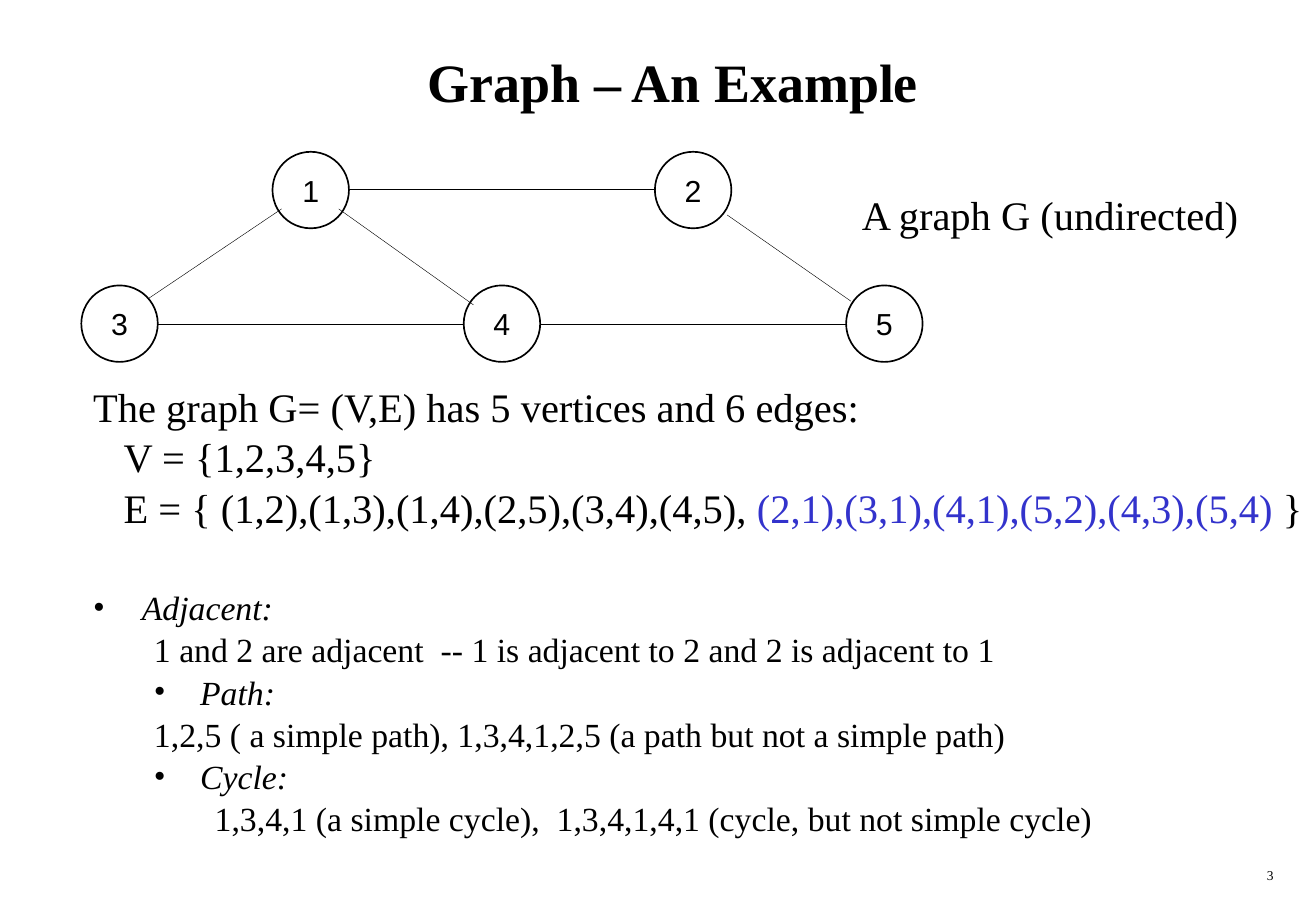
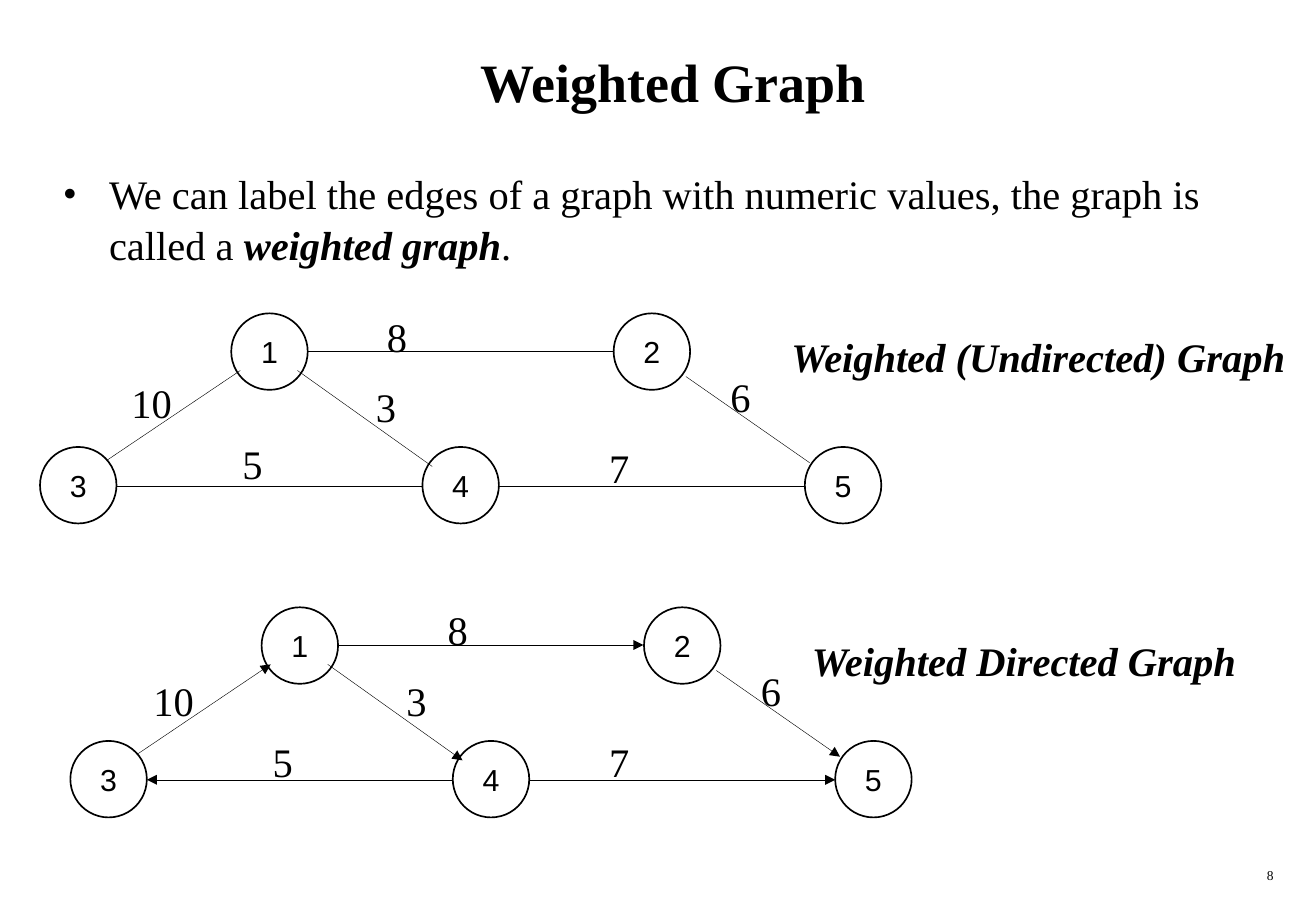
from dataclasses import dataclass
from typing import NamedTuple

from lxml.etree import SubElement
from pptx import Presentation
from pptx.dml.color import RGBColor
from pptx.enum.shapes import MSO_CONNECTOR as Link, MSO_SHAPE as Form
from pptx.enum.text import MSO_ANCHOR as Anchor, PP_ALIGN as Align
from pptx.oxml.ns import qn
from pptx.util import Inches, Pt


@dataclass(frozen=True)
class Theme:
    ink: RGBColor = RGBColor(0x00, 0x00, 0x00)
    blue: RGBColor = RGBColor(0x33, 0x33, 0xCC)
    paper: RGBColor = RGBColor(0xFF, 0xFF, 0xFF)
    serif: str = "Times New Roman"
    sans: str = "Arial"
    title: int = 32
    body: int = 24
    small: int = 20
    node: int = 18
    foot: int = 8
    rim: float = 1
    edge: float = 0.25
    lead: float = 1.04


class Box(NamedTuple):
    x: float
    y: float
    w: float
    h: float


class Run(NamedTuple):
    text: str
    bold: bool = False
    slant: bool = False
    blue: bool = False


class Para(NamedTuple):
    runs: list[Run]
    size: int
    left: float = 0
    hang: float = 0
    before: float = 0
    tab: float = 0


class Node(NamedTuple):
    name: str
    col: int
    row: int


class Edge(NamedTuple):
    x1: float
    y1: float
    x2: float
    y2: float


class Mark(NamedTuple):
    text: str
    x: float
    y: float


class Graph(NamedTuple):
    x: float
    y: float
    arrows: bool
    marks: list[Mark]
    label: Run
    spot: Box


THEME = Theme()
SIZE = 0.63
STEP = 1.575
DROP = 1.1
NODES = [Node("1", 1, 0), Node("4", 2, 1), Node("2", 3, 0),
         Node("5", 4, 1), Node("3", 0, 1)]
EDGES = [
    Edge(2.12, 0.47, 3.23, 1.26),
    Edge(2.2, 0.31, 4.72, 0.31),
    Edge(5.32, 0.52, 6.34, 1.23),
    Edge(3.15, 1.42, 0.63, 1.42),
    Edge(3.78, 1.42, 6.3, 1.42),
    Edge(0.55, 1.21, 1.65, 0.47),
]

PLAIN = Graph(0.67, 1.25, False, [], Run("A graph G (undirected)"),
              Box(7, 1.5, 3.32, 0.5))
LOOSE = Graph(
    0.33, 2.58, False,
    [Mark("8", 3.27, 2.5), Mark("7", 5.1, 3.58), Mark("10", 1.25, 3.05),
     Mark("5", 2.08, 3.55), Mark("3", 3.18, 3.08), Mark("6", 6.1, 3)],
    Run("Weighted (Undirected) Graph", True, True),
    Box(6.42, 2.67, 4.29, 0.5))
ARROW = Graph(
    0.58, 5, True,
    [Mark("10", 1.43, 5.5), Mark("5", 2.33, 6), Mark("8", 3.77, 4.92),
     Mark("7", 5.1, 6), Mark("3", 3.43, 5.5), Mark("6", 6.35, 5.42)],
    Run("Weighted Directed Graph", True, True),
    Box(6.59, 5.17, 3.72, 0.5))

BIG, LOW = THEME.body, THEME.small
FACTS = [
    Para([Run("The graph G= (V,E) has 5 vertices and 6 edges:")], BIG),
    Para([Run("V = {1,2,3,4,5}")], BIG, 0.25),
    Para([Run("E = { (1,2),(1,3),(1,4),(2,5),(3,4),(4,5), "),
          Run("(2,1),(3,1),(4,1),(5,2),(4,3),(5,4)", blue=True),
          Run(" }")], BIG, 0.25),
    Para([Run("Adjacent:", slant=True)], LOW, 0.4, 0.4, 32),
    Para([Run("1 and 2 are adjacent  -- 1 is adjacent to 2 "
              "and 2 is adjacent to 1")], LOW, 0.5),
    Para([Run("Path:", slant=True)], LOW, 0.88, 0.38),
    Para([Run("1,2,5 ( a simple path),\t1,3,4,1,2,5 "
              "(a path but not a simple path)")], LOW, 0.5, tab=3.29),
    Para([Run("Cycle:", slant=True)], LOW, 0.88, 0.38),
    Para([Run("1,3,4,1 (a simple cycle),  1,3,4,1,4,1 "
              "(cycle, but not simple cycle)")], LOW, 1),
]
CLAIM = [
    Para([Run("We can label the edges of a graph with numeric values, "
              "the graph is called a "),
          Run("weighted graph", True, True), Run(".")], BIG, 0.38, 0.38, 6),
]


def place(shape, box: Box) -> None:
    shape.left, shape.top, shape.width, shape.height = map(Inches, box)


def style(run, size: int, face: str = THEME.serif, bold: bool = False,
          slant: bool = False, blue: bool = False) -> None:
    font = run.font
    font.name, font.size = face, Pt(size)
    font.bold, font.italic = bold, slant
    font.color.rgb = THEME.blue if blue else THEME.ink


def indent(para, item: Para) -> None:
    prop = para._p.get_or_add_pPr()
    prop.set("marL", str(Inches(item.left)))
    prop.set("indent", str(-Inches(item.hang)))
    if item.hang:
        SubElement(prop, qn("a:buFont")).set("typeface", THEME.serif)
        SubElement(prop, qn("a:buChar")).set("char", "•")
    if item.tab:
        stop = SubElement(SubElement(prop, qn("a:tabLst")), qn("a:tab"))
        stop.set("pos", str(Inches(item.tab)))
        stop.set("algn", "l")


def write(slide, box: Box, items: list[Para], wrap: bool = False,
          align: Align = Align.LEFT) -> None:
    frame = slide.shapes.add_textbox(*map(Inches, box)).text_frame
    frame.word_wrap = wrap
    for k, item in enumerate(items):
        para = frame.add_paragraph() if k else frame.paragraphs[0]
        para.alignment = align
        para.line_spacing = THEME.lead
        para.space_before = Pt(item.before)
        indent(para, item)
        for part in item.runs:
            run = para.add_run()
            run.text = part.text
            style(run, item.size, bold=part.bold, slant=part.slant,
                  blue=part.blue)


def join(group, graph: Graph, edge: Edge) -> None:
    line = group.shapes.add_connector(
        Link.STRAIGHT,
        Inches(graph.x + edge.x1), Inches(graph.y + edge.y1),
        Inches(graph.x + edge.x2), Inches(graph.y + edge.y2))
    line.line.color.rgb = THEME.ink
    line.line.width = Pt(THEME.edge)
    if graph.arrows:
        tail = SubElement(line.line._get_or_add_ln(), qn("a:tailEnd"))
        tail.set("type", "triangle")
    SubElement(line._element.spPr, qn("a:effectLst"))


def ring(group, graph: Graph, node: Node) -> None:
    disc = group.shapes.add_shape(
        Form.OVAL, Inches(graph.x + node.col * STEP),
        Inches(graph.y + node.row * DROP), Inches(SIZE), Inches(SIZE))
    disc.shadow.inherit = False
    disc.fill.background()
    disc.line.color.rgb = THEME.ink
    disc.line.width = Pt(THEME.rim)
    frame = disc.text_frame
    frame.text = node.name
    frame.word_wrap = False
    frame.vertical_anchor = Anchor.MIDDLE
    para = frame.paragraphs[0]
    para.alignment = Align.CENTER
    style(para.runs[0], THEME.node, THEME.sans)


def draw(slide, graph: Graph) -> None:
    group = slide.shapes.add_group_shape()
    for edge in EDGES:
        join(group, graph, edge)
    for node in NODES:
        ring(group, graph, node)
    for mark in graph.marks:
        wide = 0.2 + 0.17 * len(mark.text)
        box = Box(mark.x - wide / 2, mark.y, wide, 0.5)
        write(slide, box, [Para([Run(mark.text)], BIG)], align=Align.CENTER)
    write(slide, graph.spot, [Para([graph.label], BIG)])


def start(deck, title: str, page: str):
    slide = deck.slides.add_slide(deck.slide_layouts[5])
    slide.background.fill.solid()
    slide.background.fill.fore_color.rgb = THEME.paper
    head = slide.shapes.title
    place(head, Box(0.42, 0.17, 10.25, 1))
    head.text_frame.text = title
    head.text_frame.vertical_anchor = Anchor.MIDDLE
    para = head.text_frame.paragraphs[0]
    para.alignment = Align.CENTER
    style(para.runs[0], THEME.title, bold=True)
    write(slide, Box(8.33, 7.08, 2.26, 0.25),
          [Para([Run(page)], THEME.foot)], True, Align.RIGHT)
    return slide


def main() -> None:
    deck = Presentation()
    deck.slide_width, deck.slide_height = Inches(10.84), Inches(7.5)

    slide = start(deck, "Graph – An Example", "3")
    draw(slide, PLAIN)
    write(slide, Box(0.67, 3.08, 10.16, 3.77), FACTS)

    slide = start(deck, "Weighted Graph", "8")
    write(slide, Box(0.42, 1.33, 10.16, 1.08), CLAIM, True)
    for graph in (LOOSE, ARROW):
        draw(slide, graph)

    deck.save("out.pptx")


if __name__ == "__main__":
    main()
